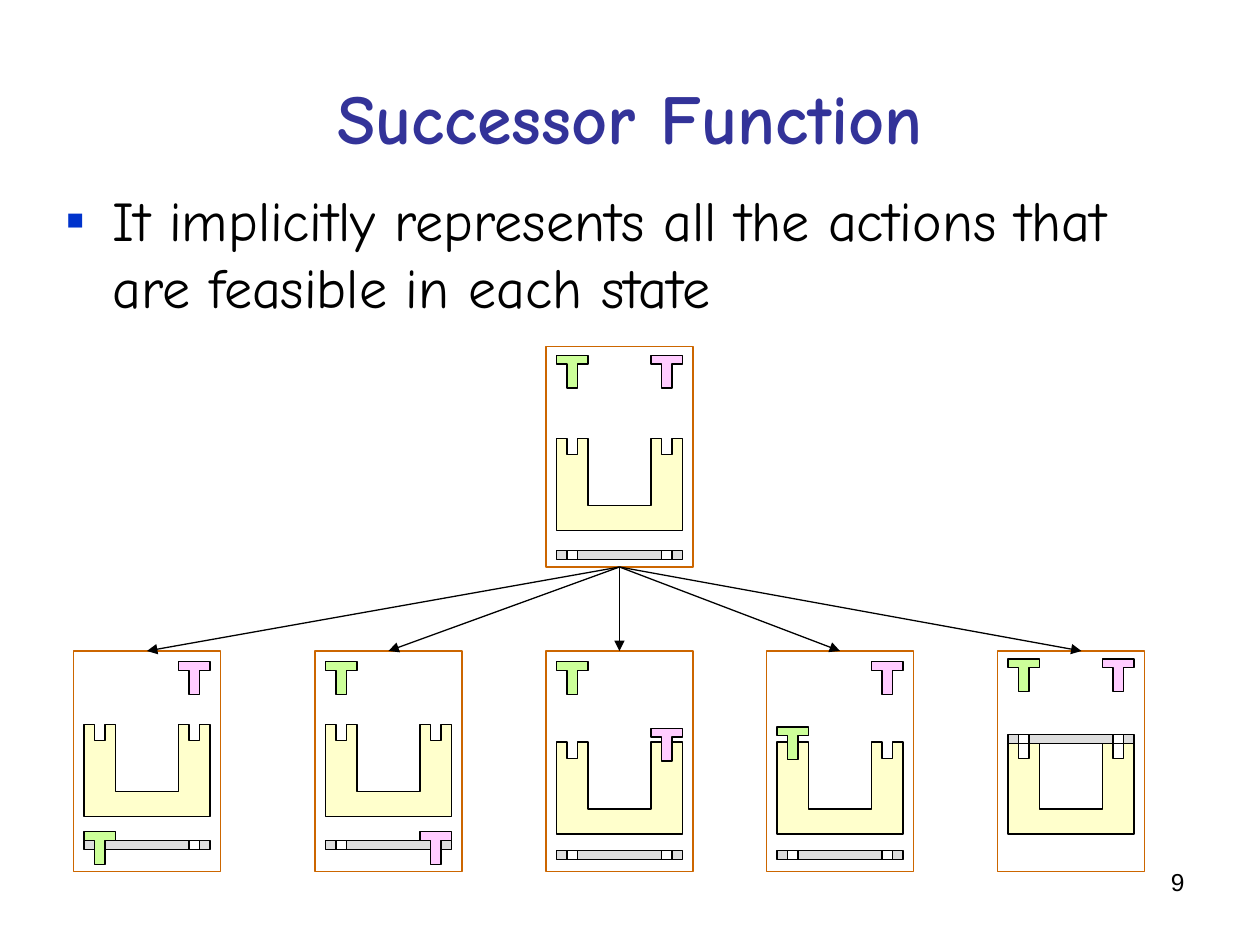
from lxml import etree
from pptx import Presentation
from pptx.dml.color import RGBColor
from pptx.enum import shapes, text
from pptx.oxml import ns
from pptx.util import Inches, Pt

BLACK = RGBColor(0, 0, 0)
WHITE = RGBColor(255, 255, 255)
NAVY = RGBColor(0x33, 0x33, 0x99)
ORANGE = RGBColor(0xCC, 0x66, 0x00)
CREAM = RGBColor(0xFF, 0xFF, 0xCC)
GRAY = RGBColor(0xDD, 0xDD, 0xDD)
GREEN = RGBColor(0xCC, 0xFF, 0x99)
PINK = RGBColor(0xFF, 0xCC, 0xFF)

TITLE = "Successor Function"
BODY = "It implicitly represents all the actions that are feasible in each state"
PAGE = "9"

# Frame left and top in grid units, then tops of block, bar, green and pink peg in inches
ROOT = (52, 33, 3.48, 4.37, 2.82, 2.82)
NEXT = [
    (7, 62, 5.75, 6.67, 6.60, 5.25),
    (30, 62, 5.75, 6.67, 5.25, 6.60),
    (52, 62, 5.89, 6.75, 5.25, 5.78),
    (73, 62, 5.89, 6.75, 5.77, 5.25),
    (95, 62, 5.89, 5.83, 5.23, 5.23),
]
TIPS = [14, 37, 59, 80, 103]  # arrow tips in grid units

UNIT = 1 / 12  # grid unit in inches
WIDE, HIGH = 14, 21  # frame size in grid units
THICK = 0.07  # bar height in inches

# Outlines: x in grid units, y in inches
BLOCK = [(0, 0), (1, 0), (1, 0.13), (2, 0.13), (2, 0), (3, 0), (3, 0.53),
         (9, 0.53), (9, 0), (10, 0), (10, 0.13), (11, 0.13), (11, 0),
         (12, 0), (12, 0.73), (0, 0.73)]
PEG = [(2, 0.26), (1, 0.26), (1, 0.07), (0, 0.07), (0, 0), (3, 0),
       (3, 0.07), (2, 0.07)]


def paint(shape, fill, line=BLACK):
    shape.shadow.inherit = False
    if fill is None:
        shape.fill.background()
    else:
        shape.fill.solid()
        shape.fill.fore_color.rgb = fill
    shape.line.color.rgb = line
    shape.line.width = Pt(0.75)


def box(group, x, y, w, h, fill, line=BLACK):
    rect = group.shapes.add_shape(shapes.MSO_SHAPE.RECTANGLE, Inches(x * UNIT),
                                  Inches(y), Inches(w * UNIT), Inches(h))
    paint(rect, fill, line)


def outline(group, x, y, points, fill):
    spots = [(Inches((x + dx) * UNIT), Inches(y + dy)) for dx, dy in points]
    pen = group.shapes.build_freeform(*spots[0])
    pen.add_line_segments(spots[1:], close=True)
    paint(pen.convert_to_shape(), fill)


def state(slide, x, top, block, bar, green, pink):
    group = slide.shapes.add_group_shape()
    outline(group, x + 1, block, BLOCK, CREAM)
    box(group, x + 1, bar, 12, THICK, GRAY)
    for hole in (2, 11):
        box(group, x + hole, bar, 1, THICK, WHITE)
    outline(group, x + 1, green, PEG, GREEN)
    outline(group, x + 10, pink, PEG, PINK)
    box(group, x, top * UNIT, WIDE, HIGH * UNIT, None, ORANGE)


def arrow(slide, start, tip, top):
    """Lead from the bottom centre of the start frame to a tip."""
    ends = [start[0] + WIDE / 2, start[1] + HIGH, tip, top]
    line = slide.shapes.add_connector(shapes.MSO_CONNECTOR.STRAIGHT,
                                      *[Inches(v * UNIT) for v in ends])
    line.line.color.rgb = BLACK
    line.line.width = Pt(0.75)
    props = line.line._get_or_add_ln()
    etree.SubElement(props, ns.qn("a:tailEnd"), type="triangle")
    etree.SubElement(line._element.spPr, ns.qn("a:effectLst"))


def write(shape, words, font, size, color, align):
    frame = shape.text_frame
    frame.word_wrap = True
    para = frame.paragraphs[0]
    para.text = words
    para.alignment = align
    para.font.name = font
    para.font.size = Pt(size)
    para.font.color.rgb = color
    return para


def label(slide, x, y, w, h, *style):
    area = slide.shapes.add_textbox(Inches(x), Inches(y), Inches(w), Inches(h))
    return write(area, *style)


def bullet(para):
    props = para._p.get_or_add_pPr()
    props.set("marL", str(Pt(27)))
    props.set("indent", str(Pt(-27)))
    before = etree.SubElement(props, ns.qn("a:spcBef"))
    etree.SubElement(before, ns.qn("a:spcPct"), val="20000")
    tint = etree.SubElement(props, ns.qn("a:buClr"))
    etree.SubElement(tint, ns.qn("a:srgbClr"), val="0033CC")
    etree.SubElement(props, ns.qn("a:buFont"), typeface="Arial")
    etree.SubElement(props, ns.qn("a:buChar"), char="▪")
    # The schema wants the font defaults after the bullet
    props.append(props.find(ns.qn("a:defRPr")))


def main():
    deck = Presentation()
    deck.slide_width, deck.slide_height = Inches(10), Inches(7.5)
    slide = deck.slides.add_slide(deck.slide_layouts[5])

    title = slide.shapes.title
    title.left, title.top = Inches(0.5), Inches(0.3)
    title.width, title.height = Inches(9), Inches(1.25)
    title.text_frame.vertical_anchor = text.MSO_ANCHOR.MIDDLE
    align = text.PP_ALIGN
    write(title, TITLE, "Comic Neue", 40, NAVY, align.CENTER).font.bold = True

    label(slide, 7.17, 6.83, 2.33, 0.52, PAGE, "Arial", 14, BLACK, align.RIGHT)
    bullet(label(slide, 0.42, 1.42, 9.17, 6.08, BODY, "Comic Neue", 32, BLACK,
                 align.LEFT))

    state(slide, *ROOT)
    for child, tip in zip(NEXT, TIPS):
        state(slide, *child)
        arrow(slide, ROOT, tip, child[1])

    deck.save("out.pptx")


if __name__ == "__main__":
    main()
